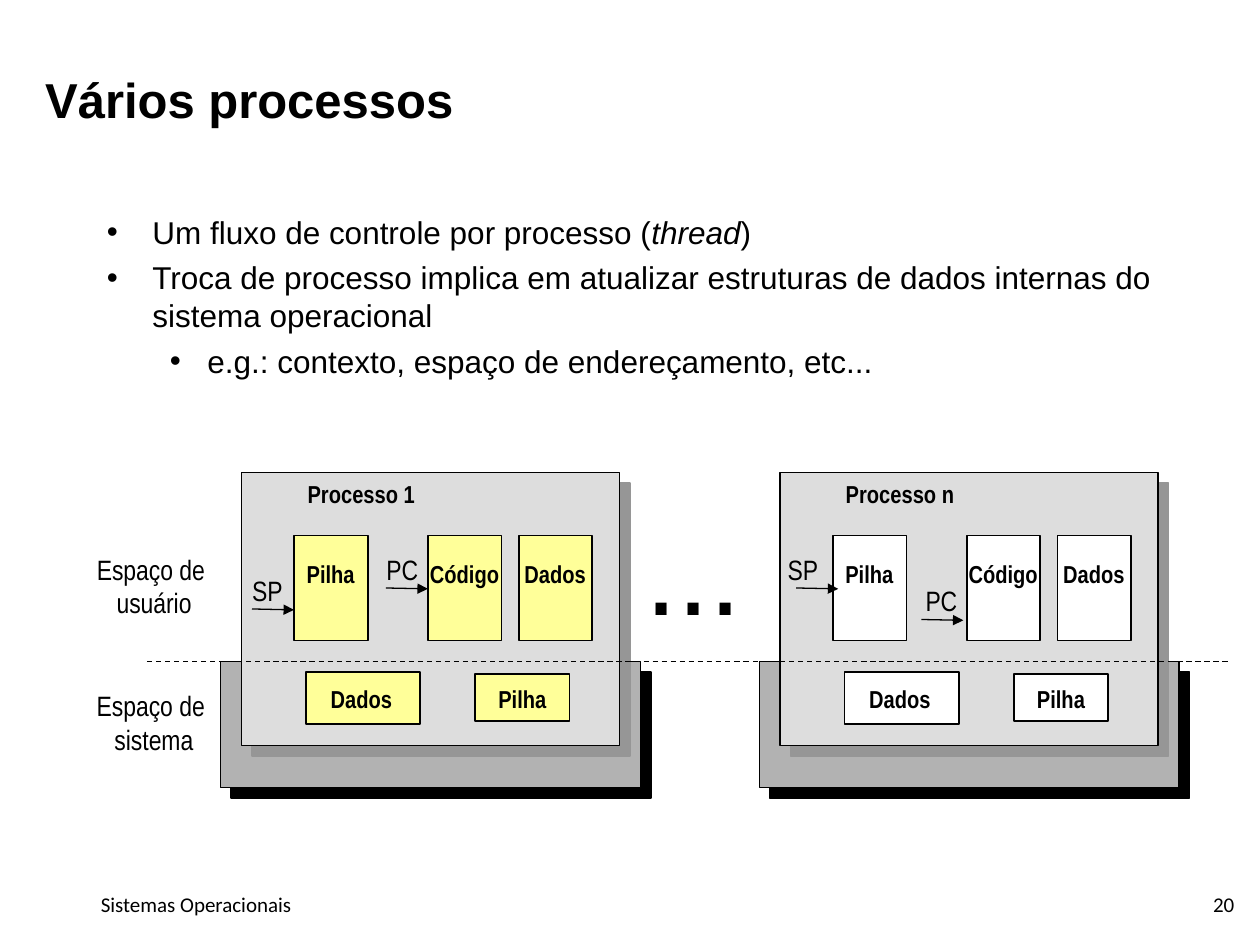
from lxml.etree import SubElement
from pptx import Presentation
from pptx.dml.color import RGBColor
from pptx.enum.dml import MSO_LINE
from pptx.enum.shapes import MSO_CONNECTOR, MSO_SHAPE
from pptx.enum.text import MSO_ANCHOR, MSO_AUTO_SIZE, PP_ALIGN
from pptx.oxml.ns import qn
from pptx.util import Pt

BLACK = RGBColor(0x00, 0x00, 0x00)
WHITE = RGBColor(0xFF, 0xFF, 0xFF)
YELLOW = RGBColor(0xFF, 0xFF, 0x99)
LIGHT_GRAY = RGBColor(0xDD, 0xDD, 0xDD)
MID_GRAY = RGBColor(0xB2, 0xB2, 0xB2)
DARK_GRAY = RGBColor(0x96, 0x96, 0x96)

deck = Presentation()
deck.slide_width, deck.slide_height = Pt(720), Pt(540)
page = deck.slides.add_slide(deck.slide_layouts[6])


def add_text(text, left, top, width, height, size=14, font="Arial Narrow", bold=False,
             align=PP_ALIGN.LEFT, wrap=False, inset=(7.2, 3.6), anchor=MSO_ANCHOR.TOP):
    """Each line becomes a paragraph; words between underscores are italic."""
    box = page.shapes.add_textbox(Pt(left), Pt(top), Pt(width), Pt(height))
    frame = box.text_frame
    frame.word_wrap = wrap
    # Unwrapped labels grow with their text, which keeps them on one line
    frame.auto_size = MSO_AUTO_SIZE.NONE if wrap else MSO_AUTO_SIZE.SHAPE_TO_FIT_TEXT
    frame.vertical_anchor = anchor
    frame.margin_left = frame.margin_right = Pt(inset[0])
    frame.margin_top = frame.margin_bottom = Pt(inset[1])
    for row, line in enumerate(text.split("\n")):
        para = frame.add_paragraph() if row else frame.paragraphs[0]
        para.alignment = align
        for part, words in enumerate(line.split("_")):
            span = para.add_run()
            span.text = words
            span.font.size, span.font.name = Pt(size), font
            span.font.bold, span.font.italic = bold, part % 2 == 1
            span.font.color.rgb = BLACK
    return frame


def add_block(left, top, width, height, fill, line=1, shadow=None):
    block = page.shapes.add_shape(MSO_SHAPE.RECTANGLE, Pt(left), Pt(top), Pt(width), Pt(height))
    block.shadow.inherit = False
    block.fill.solid()
    block.fill.fore_color.rgb = fill
    block.line.color.rgb = BLACK
    block.line.width = Pt(line)
    if shadow is not None:
        effects = block._element.spPr.find(qn("a:effectLst"))
        cast = SubElement(effects, qn("a:outerShdw"), dist=str(Pt(8.5)), dir="2700000",
                          algn="ctr", rotWithShape="0")
        SubElement(cast, qn("a:srgbClr"), val=str(shadow))


# Footer and page number
add_text("Sistemas Operacionais", 54, 506, 583, 24, size=12, font="Calibri",
         wrap=True, inset=(3.6, 3.6))
add_text("20", 607.5, 507, 105, 19.5, size=12, font="Calibri", align=PP_ALIGN.RIGHT,
         wrap=True, inset=(7.2, 0), anchor=MSO_ANCHOR.MIDDLE)

# Title
title = add_text("Vários processos", 18.8, 41.3, 598.5, 65.5, size=28, font="Arial",
                 bold=True, wrap=True)
title.paragraphs[0].line_spacing = 0.85

# Bullets
bullets = add_text(
    "Um fluxo de controle por processo (_thread_)\n"
    "Troca de processo implica em atualizar estruturas de dados internas do sistema operacional\n"
    "e.g.: contexto, espaço de endereçamento, etc...",
    54, 118, 642, 129, size=18, font="Arial", wrap=True)
for row, (para, level) in enumerate(zip(bullets.paragraphs, (0, 0, 1))):
    para.level = level
    para.space_before = Pt(4.5 if row else 0)
    margin, hanging = ((26, 26), (57.5, 21.5))[level]
    props = para._p.get_or_add_pPr()
    props.set("marL", str(Pt(margin)))
    props.set("indent", str(-Pt(hanging)))
    SubElement(props, qn("a:buFont"), typeface="Arial")
    SubElement(props, qn("a:buChar"), char="•")

# Memory blocks of one process: block left, top, width, height, label, label left, top, width
SEGMENTS = [
    (174.7, 384.2, 65.5, 29.5, "Dados", 181.5, 387.5, 50),
    (271.5, 385.2, 54, 27, "Pilha", 277.5, 387.5, 42),
    (168.2, 306, 42, 60, "Pilha", 168, 315.7, 42),
    (244.7, 306, 42, 60, "Código", 238.5, 315.7, 54),
    (296.5, 306, 42, 60, "Dados", 292.3, 315.7, 50),
]

# Processes
for shift, name, fill in ((0, "Processo 1", YELLOW), (307.8, "Processo n", WHITE)):
    add_block(126 + shift, 378, 240, 72, MID_GRAY, line=0.75, shadow=BLACK)
    add_block(138 + shift, 270, 216, 156, LIGHT_GRAY, shadow=DARK_GRAY)
    add_text(name, 167.5 + shift, 270, 78, 24, bold=True, align=PP_ALIGN.CENTER)
    for left, top, width, height, label, label_left, label_top, label_width in SEGMENTS:
        add_block(left + shift, top, width, height, fill)
        add_text(label, label_left + shift, label_top, label_width, 24,
                 bold=True, align=PP_ALIGN.CENTER)

# Register labels
for label, left, top, width in (("SP", 137, 324, 32), ("PC", 213.7, 312, 33),
                                ("SP", 443, 312, 32), ("PC", 521.8, 330, 33)):
    add_text(label, left, top, width, 26.5, size=16)

# Space labels and ellipsis
add_text("Espaço de\n usuário", 48, 312, 76.5, 46, size=16, align=PP_ALIGN.CENTER)
add_text("Espaço de \nsistema", 48, 390, 80, 46, size=16, align=PP_ALIGN.CENTER)
add_text("...", 362, 282, 70, 86.5, size=66, font="Arial")

# Pointer arrows and the dashed border between the two spaces
LINES = [
    (144, 348, 168, 348.5, True),
    (220.5, 336, 244.5, 336.5, True),
    (455, 336, 479, 336.5, True),
    (526.5, 354, 550.5, 354.5, True),
    (84, 378, 426, 378, False),
    (420, 378, 702, 378, False),
]
for x1, y1, x2, y2, arrow in LINES:
    connector = page.shapes.add_connector(MSO_CONNECTOR.STRAIGHT, Pt(x1), Pt(y1), Pt(x2), Pt(y2))
    connector.line.color.rgb = BLACK
    connector.line.width = Pt(0.75)
    if arrow:
        SubElement(connector.line._get_or_add_ln(), qn("a:tailEnd"), type="triangle")
    else:
        connector.line.dash_style = MSO_LINE.DASH
    SubElement(connector._element.spPr, qn("a:effectLst"))

deck.save("out.pptx")
